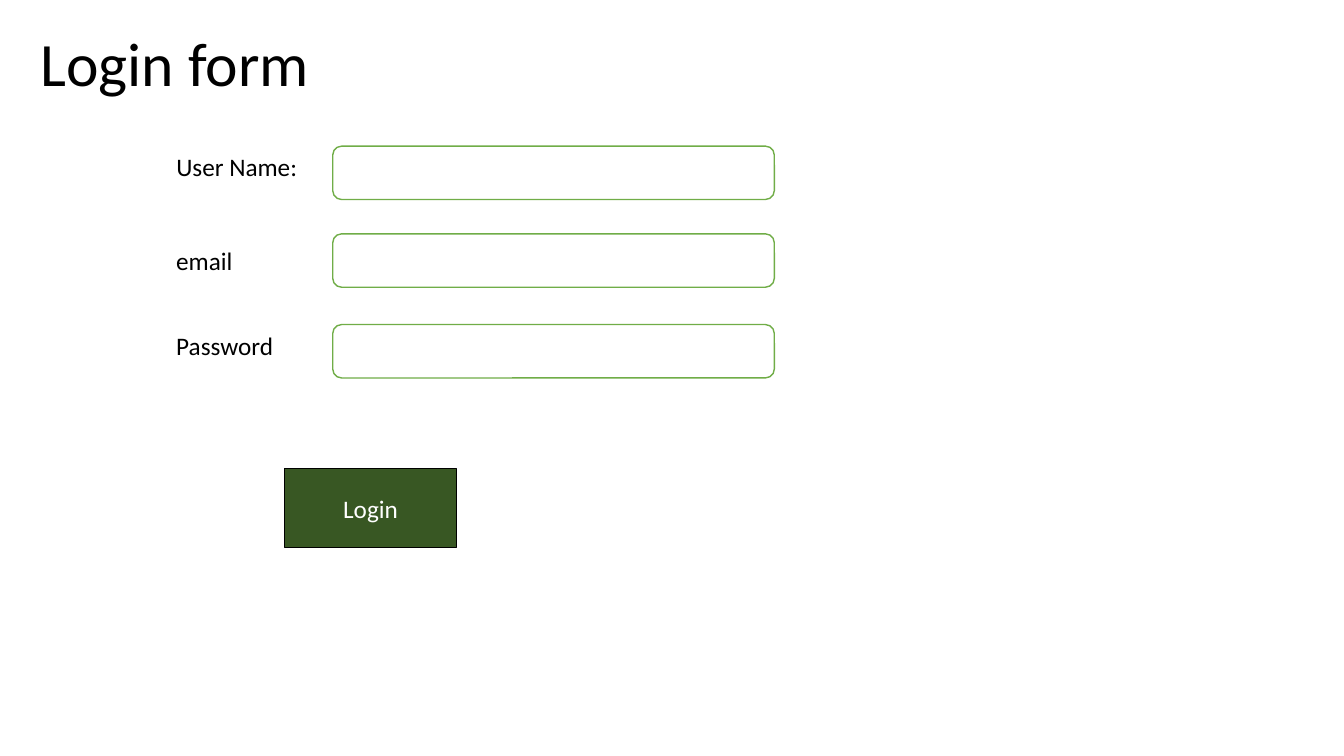
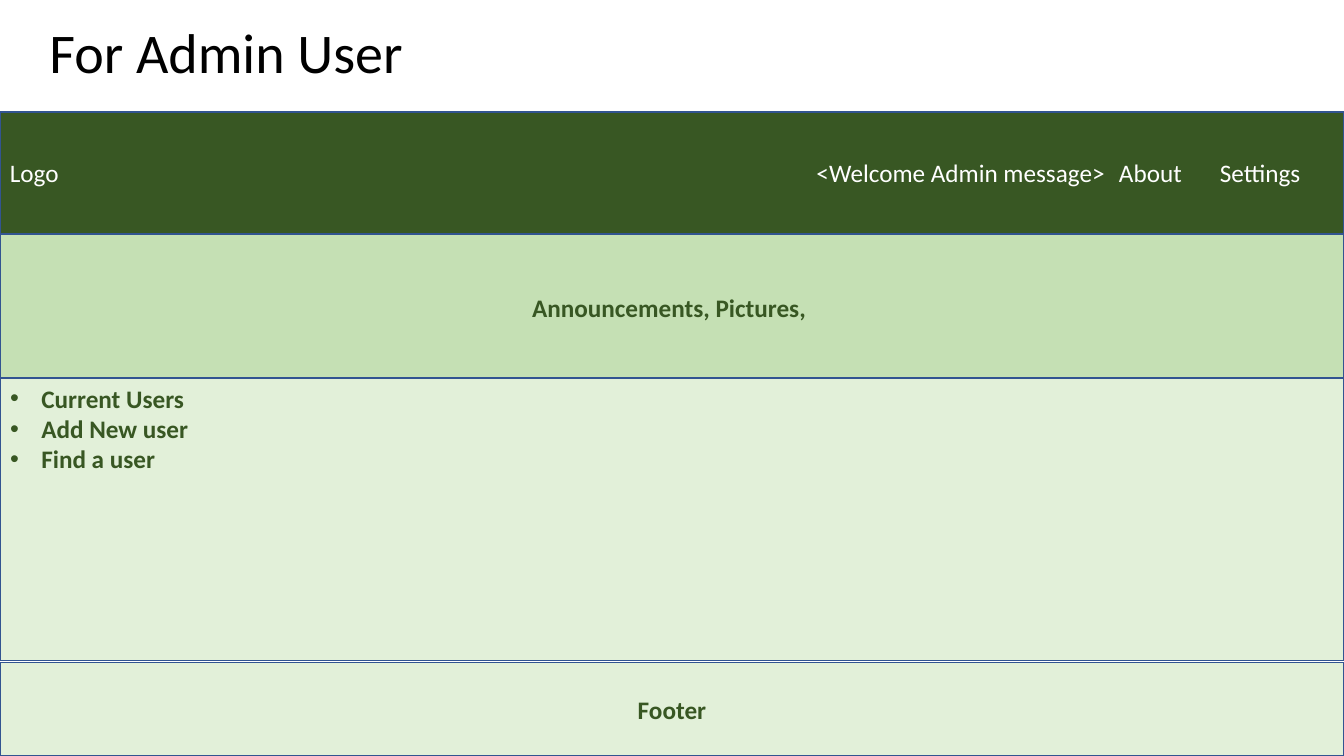
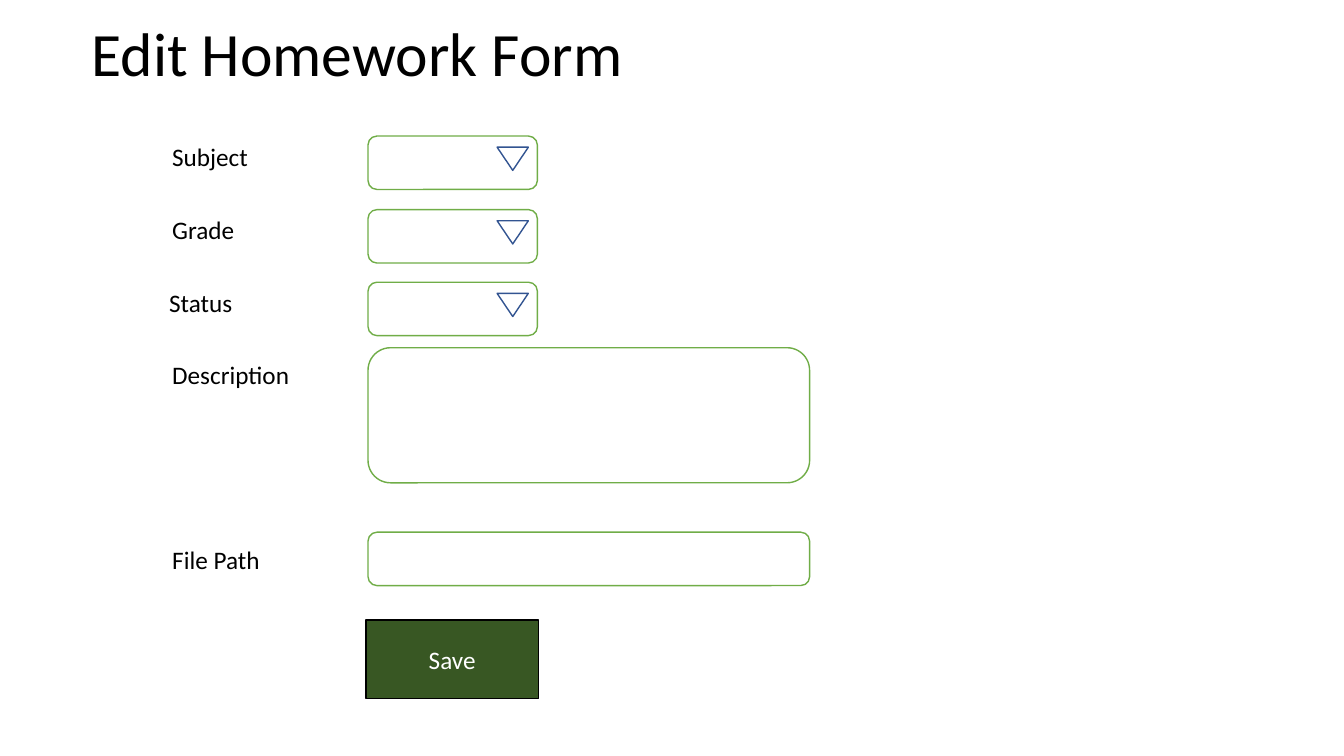
from pptx import Presentation
from pptx.dml.color import RGBColor
from pptx.enum import shapes, text
from pptx.oxml import parse_xml
from pptx.oxml.ns import nsdecls
from pptx.util import Inches, Pt

FONT = "Calibri"
BLACK = RGBColor(0x00, 0x00, 0x00)
WHITE = RGBColor(0xFF, 0xFF, 0xFF)
DARK_GREEN = RGBColor(0x38, 0x57, 0x23)
FIELD_GREEN = RGBColor(0x70, 0xAD, 0x47)
MID_GREEN = RGBColor(0xC5, 0xE0, 0xB4)
PALE_GREEN = RGBColor(0xE2, 0xF0, 0xD9)
BLUE = RGBColor(0x32, 0x54, 0x91)

KIND = shapes.MSO_SHAPE
ALIGN = text.PP_ALIGN
ANCHOR = text.MSO_ANCHOR
WIDTH, HEIGHT = 13.33, 7.5
FIELD_HEIGHT = 0.53
WIDE_FIELD = 4.38


def write(holder, words, size=18, color=BLACK, bold=False, align=ALIGN.LEFT,
          anchor=ANCHOR.TOP, spacing=1.0, wrap=True, place=None):
    if place:
        holder.left, holder.top, holder.width, holder.height = map(Inches, place)
    frame = holder.text_frame
    frame.text = words
    frame.word_wrap = wrap
    frame.auto_size = text.MSO_AUTO_SIZE.NONE
    frame.vertical_anchor = anchor
    for paragraph in frame.paragraphs:
        paragraph.alignment = align
        paragraph.line_spacing = spacing
        paragraph.space_before = Pt(0)
        font = paragraph.font
        font.name, font.size, font.bold = FONT, Pt(size), bold
        font.color.rgb = color
    return frame.paragraphs


def draw(target, kind, place, fill=WHITE, line=FIELD_GREEN):
    outline = target.shapes.add_shape(kind, *map(Inches, place))
    outline.shadow.inherit = False
    if fill is None:
        outline.fill.background()
    else:
        outline.fill.solid()
        outline.fill.fore_color.rgb = fill
    outline.line.color.rgb = line
    outline.line.width = Pt(1)
    return outline


deck = Presentation()
deck.slide_width, deck.slide_height = Inches(WIDTH), Inches(HEIGHT)
title_and_list, title_only = deck.slide_layouts[1], deck.slide_layouts[5]

login = deck.slides.add_slide(title_only)
admin = deck.slides.add_slide(title_and_list)
homework = deck.slides.add_slide(title_only)

for page, heading, size, spacing, place in (
    (login, "Login form", 44, 0.9, (0.3, -0.06, 11.5, 1.45)),
    (admin, "For Admin User", 40, 1.0, (0.39, 0.12, 3.74, 0.77)),
    (homework, "Edit Homework Form", 44, 0.9, (0.81, 0.11, 11.5, 0.91)),
):
    write(page.shapes.title, heading, size=size, spacing=spacing,
          anchor=ANCHOR.MIDDLE, place=place)

for page, label, left, top, width in (
    (login, "User Name:", 1.65, 1.45, 1.41),
    (login, "email", 1.65, 2.38, 0.77),
    (login, "Password", 1.65, 3.23, 1.17),
    (homework, "Subject", 1.61, 1.35, 0.96),
    (homework, "Grade", 1.61, 2.08, 0.82),
    (homework, "Status", 1.58, 2.8, 0.83),
    (homework, "Description", 1.61, 3.52, 1.38),
    (homework, "File Path", 1.61, 5.35, 1.08),
):
    caption = page.shapes.add_textbox(*map(Inches, (left, top, width, 0.4)))
    write(caption, label, wrap=False)

for page, left, top, height in (
    (login, 3.3, 1.45, FIELD_HEIGHT),
    (login, 3.3, 2.32, FIELD_HEIGHT),
    (login, 3.3, 3.22, FIELD_HEIGHT),
    (homework, 3.65, 3.45, 1.34),
    (homework, 3.65, 5.28, FIELD_HEIGHT),
):
    draw(page, KIND.ROUNDED_RECTANGLE, (left, top, WIDE_FIELD, height))

for top in (1.35, 2.08, 2.8):
    dropdown = homework.shapes.add_group_shape()
    draw(dropdown, KIND.ROUNDED_RECTANGLE, (3.65, top, 1.68, FIELD_HEIGHT))
    arrow = draw(dropdown, KIND.ISOSCELES_TRIANGLE,
                 (4.93, top + 0.11, 0.31, 0.23), fill=None, line=BLUE)
    arrow.rotation = 180

for page, action, left, top in ((login, "Login", 2.82, 4.65),
                                (homework, "Save", 3.63, 6.15)):
    button = draw(page, KIND.ACTION_BUTTON_CUSTOM, (left, top, 1.71, 0.78),
                  fill=DARK_GREEN, line=BLACK)
    write(button, action, color=WHITE, align=ALIGN.CENTER, anchor=ANCHOR.MIDDLE)

menu = "Logo\t<Welcome Admin message>\tAbout\tSettings"
for words, top, height, fill, color, bold, align in (
    (menu, 1.11, 1.21, DARK_GREEN, WHITE, False, ALIGN.LEFT),
    ("Announcements, Pictures, ", 2.32, 1.45, MID_GREEN, DARK_GREEN, True, ALIGN.CENTER),
    ("Footer", 6.57, 0.93, PALE_GREEN, DARK_GREEN, True, ALIGN.CENTER),
):
    band = draw(admin, KIND.RECTANGLE, (0, top, WIDTH, height), fill=fill, line=BLUE)
    lines = write(band, words, color=color, bold=bold, align=align, anchor=ANCHOR.MIDDLE)
    if words == menu:
        stops = "".join(f'<a:tab pos="{Inches(stop)}" algn="l"/>' for stop in (8, 11, 12))
        tabs = parse_xml(f'<a:tabLst {nsdecls("a")}>{stops}</a:tabLst>')
        lines[0].font._element.addprevious(tabs)

user_tasks = admin.placeholders[1]
user_tasks.fill.solid()
user_tasks.fill.fore_color.rgb = PALE_GREEN
user_tasks.line.color.rgb = BLUE
user_tasks.line.width = Pt(1)
for task in write(user_tasks, "Current Users\nAdd New user\nFind a user",
                  color=DARK_GREEN, bold=True, place=(0, 3.75, WIDTH, 2.8)):
    indents = task._p.get_or_add_pPr()
    indents.set("marL", str(Inches(0.31)))
    indents.set("indent", str(-Inches(0.31)))
admin.shapes._spTree.append(user_tasks._element)

deck.save("out.pptx")
